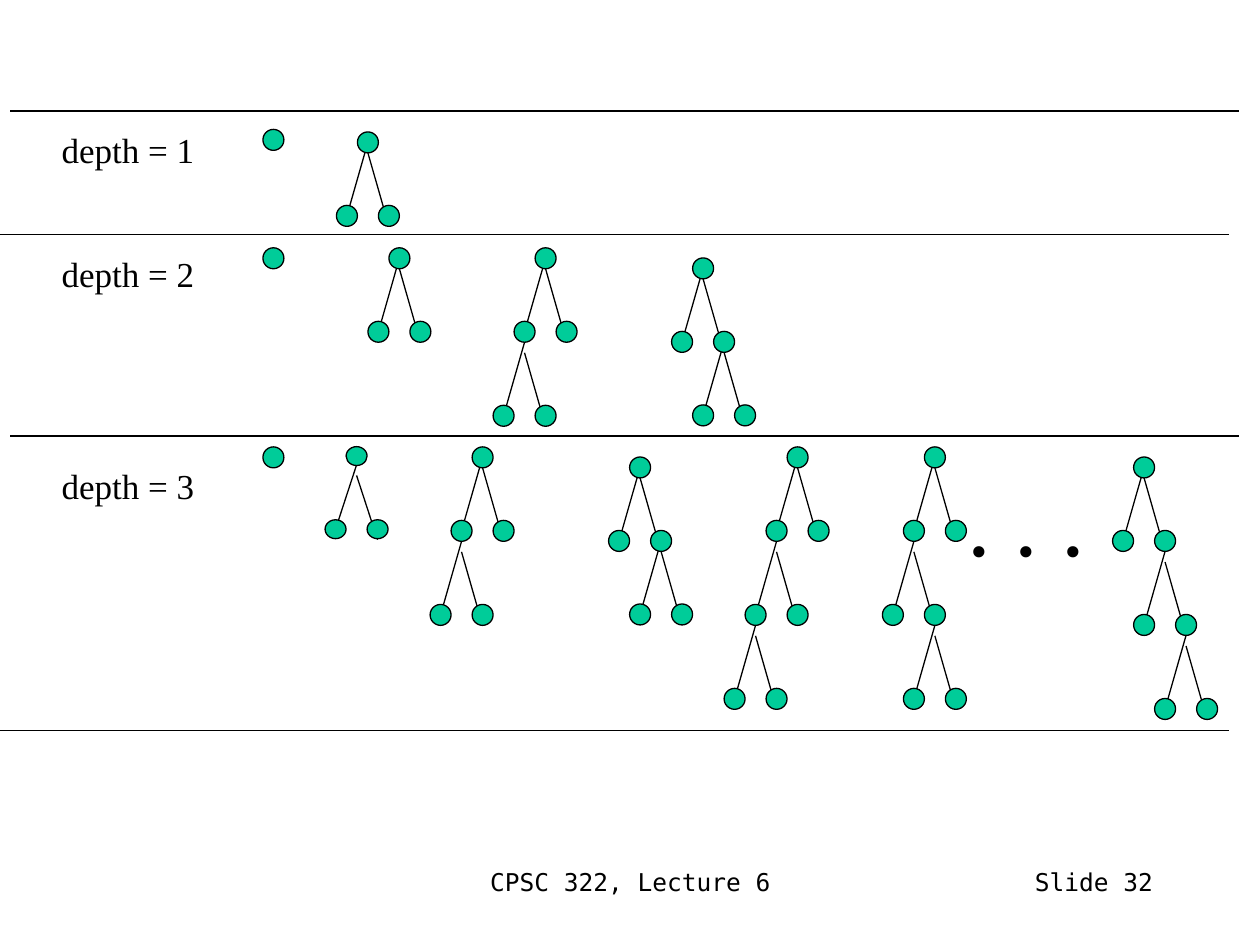
from pptx import Presentation
from pptx.dml.color import RGBColor
from pptx.enum.shapes import MSO_CONNECTOR, MSO_SHAPE
from pptx.enum.text import PP_ALIGN
from pptx.oxml.ns import qn
from pptx.util import Inches, Pt
from lxml import etree

LINE, OVAL = MSO_CONNECTOR.STRAIGHT, MSO_SHAPE.OVAL
LEFT, MID, RIGHT = PP_ALIGN.LEFT, PP_ALIGN.CENTER, PP_ALIGN.RIGHT
SERIF, MONO = "Times New Roman", "DejaVu Sans Mono"

SIZE = 1 / 6    # node diameter, also the sideways step to a child
DROP = 7 / 12   # height from a fork to its children
GAP = 1 / 12    # a right branch starts this far below the left one


def color(code):
    return RGBColor.from_string(code)


class Page:
    ink = color("000000")
    green = color("00CC99")
    width = Pt(0.75)

    def __init__(self, slide):
        self.shapes = slide.shapes

    def line(self, x1, y1, x2, y2):
        item = self.shapes.add_connector(LINE, Inches(x1), Inches(y1), Inches(x2), Inches(y2))
        item.line.color.rgb = self.ink
        item.line.width = self.width
        etree.SubElement(item._element.spPr, qn("a:effectLst"))

    def node(self, x, y, tall=SIZE):
        """Draw a circle centred on x, y."""
        item = self.shapes.add_shape(OVAL, Inches(x - SIZE / 2), Inches(y - tall / 2),
                                     Inches(SIZE), Inches(tall))
        item.shadow.inherit = False
        item.fill.solid()
        item.fill.fore_color.rgb = self.green
        item.line.color.rgb = self.ink
        item.line.width = self.width

    def fork(self, x, y, drop=DROP):
        self.line(x, y + GAP, x + SIZE, y + GAP + drop)
        self.line(x, y, x - SIZE, y + drop)

    def tree(self, x, y, path="", lead=GAP):
        """Grow a tree from its root; path names the child, L or R, that forks next."""
        nodes = [(x, y)]
        for turn in path + ".":
            self.fork(x, y)
            y += DROP
            nodes += [(x + SIZE, y), (x - SIZE, y)]
            x += SIZE if turn == "R" else -SIZE
            y += lead
        for spot in nodes:
            self.node(*spot)

    def text(self, box, rows, size, font, align=LEFT, top=0.05, wrap=True):
        """Write rows of (text, points of space before)."""
        frame = self.shapes.add_textbox(*map(Inches, box)).text_frame
        frame.word_wrap = wrap
        frame.margin_top = Inches(top)
        for i, (words, space) in enumerate(rows):
            para = frame.add_paragraph() if i else frame.paragraphs[0]
            para.text = words
            para.alignment = align
            if space:
                para.space_before = Pt(space)
            para.font.size = Pt(size)
            para.font.name = font
            para.font.color.rgb = self.ink


def main():
    deck = Presentation()
    deck.slide_width, deck.slide_height = Inches(10), Inches(7.5)
    page = Page(deck.slides.add_slide(deck.slide_layouts[6]))

    page.text((3.42, 6.83, 3.17, 0.5), [("CPSC 322, Lecture 6", 0)], 14, MONO, MID)
    page.text((7.17, 6.83, 2.08, 0.5), [("Slide 32", 0)], 14, MONO, RIGHT)
    depths = [("depth = 1", 0), ("depth = 2", 47), ("depth = 3", 97)]
    page.text((0.39, 0.78, 1.26, 3.27), depths, 20, SERIF, top=0.24, wrap=False)
    page.text((7.58, 3.55, 1.14, 1), [(". . .", 0)], 54, SERIF, top=0.12, wrap=False)

    for x, y in [(0.08, 0.88), (0, 1.86), (0.08, 3.46), (0, 5.8)]:
        page.line(x, y, x + 9.75, y)

    for y in (1.11, 2.05, 3.63):
        page.node(2.17, y)

    page.tree(2.92, 1.13)
    page.tree(3.17, 2.05)
    page.tree(4.33, 2.05, "L")
    page.tree(5.58, 2.13, "R", lead=0)
    page.tree(3.83, 3.63, "L")
    page.tree(5.08, 3.71, "R", lead=0)
    page.tree(6.33, 3.63, "LL")
    page.tree(7.42, 3.63, "LR")
    page.tree(9.08, 3.71, "RR")

    # The first tree of depth 3 is a little flatter than the rest.
    page.fork(2.83, 3.69, drop=0.51)
    for x, y in [(2.83, 3.62), (2.83 + SIZE, 4.2), (2.83 - SIZE, 4.2)]:
        page.node(x, y, tall=0.15)

    deck.save("out.pptx")


if __name__ == "__main__":
    main()
